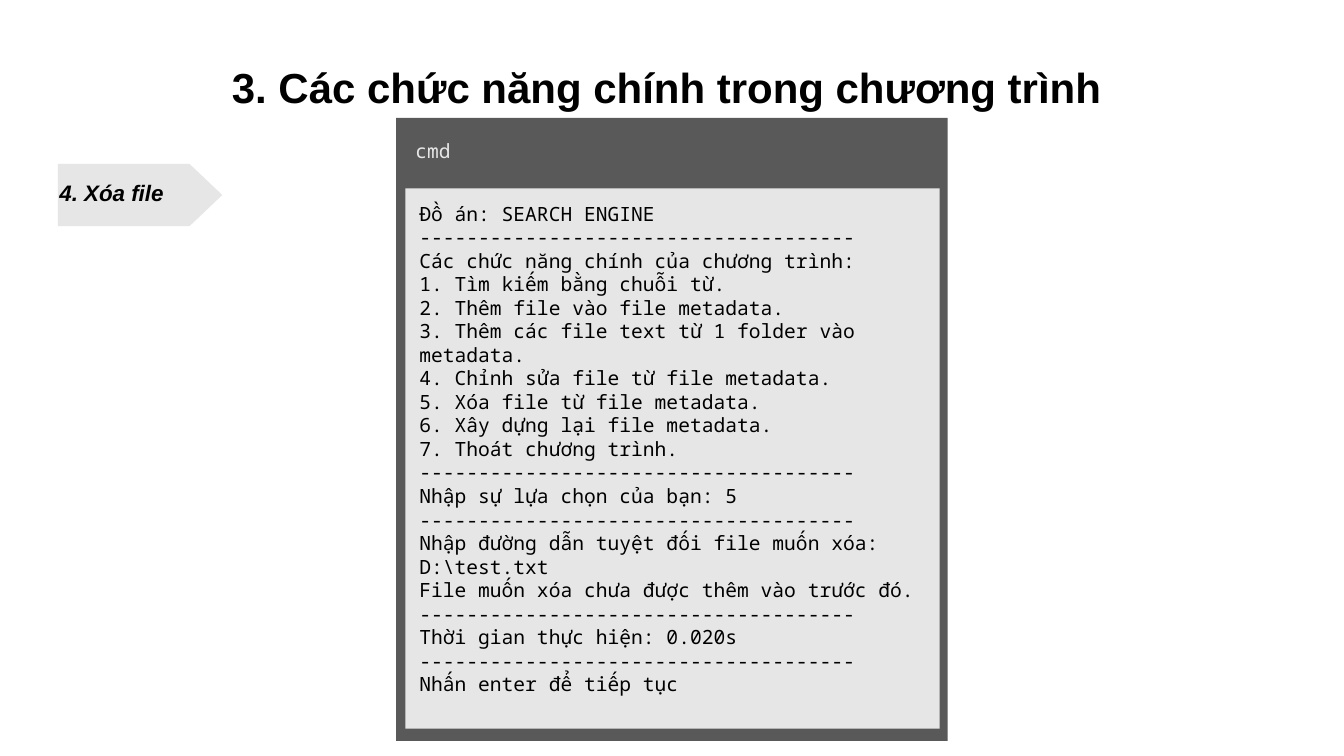
from dataclasses import dataclass

from pptx import Presentation
from pptx.dml.color import RGBColor
from pptx.enum.shapes import MSO_SHAPE as Shape
from pptx.enum.text import MSO_ANCHOR as Anchor, MSO_AUTO_SIZE as AutoSize, PP_ALIGN as Align
from pptx.util import Inches, Pt


@dataclass(frozen=True)
class Theme:
    ink: str = "000000"
    light: str = "E7E6E6"
    dark: str = "595959"
    sans: str = "Arial"
    mono: str = "Noto Sans Mono"
    title_pt: int = 30
    label_pt: int = 16
    code_pt: int = 14


@dataclass(frozen=True)
class Area:
    """Left, top, width and height in percent of the slide."""
    x: float
    y: float
    w: float
    h: float


@dataclass(frozen=True)
class Panel:
    kind: Shape
    area: Area
    color: str
    rotation: int = 0


@dataclass(frozen=True)
class Style:
    size: int
    font: str
    color: str
    bold: bool = False
    italic: bool = False
    wrap: bool = True


theme = Theme()
prs = Presentation()
prs.slide_width, prs.slide_height = Inches(13.33), Inches(7.5)
s = prs.slides.add_slide(prs.slide_layouts[5])


def place(sp, area: Area) -> None:
    sp.left, sp.width = (int(prs.slide_width * v / 100) for v in (area.x, area.w))
    sp.top, sp.height = (int(prs.slide_height * v / 100) for v in (area.y, area.h))


def write(sp, text: str, style: Style) -> None:
    tf = sp.text_frame
    tf.text = text
    tf.word_wrap = style.wrap
    tf.auto_size = AutoSize.NONE
    tf.vertical_anchor = Anchor.TOP
    for p in tf.paragraphs:
        p.alignment = Align.LEFT
        for r in p.runs:
            r.font.size, r.font.name = Pt(style.size), style.font
            r.font.bold, r.font.italic = style.bold, style.italic
            r.font.color.rgb = RGBColor.from_string(style.color)


def draw_panel(panel: Panel) -> None:
    sp = s.shapes.add_shape(panel.kind, 0, 0, 0, 0)
    place(sp, panel.area)
    sp.rotation = panel.rotation
    sp.shadow.inherit = False
    sp.fill.solid()
    sp.fill.fore_color.rgb = RGBColor.from_string(panel.color)
    sp.line.fill.background()


def draw_text(area: Area, text: str, style: Style) -> None:
    sp = s.shapes.add_textbox(0, 0, 0, 0)
    place(sp, area)
    write(sp, text, style)


# Title
title = s.shapes.title
place(title, Area(16.5, 7.47, 68.7, 8.13))
write(title, "3. Các chức năng chính trong chương trình",
      Style(theme.title_pt, theme.sans, theme.ink, bold=True))

# Section arrow and console window
for panel in (
    Panel(Shape.FLOWCHART_OFFPAGE_CONNECTOR, Area(8.1, 14.93, 4.65, 21.73), theme.light, 270),
    Panel(Shape.RECTANGLE, Area(29.48, 15.6, 41.03, 82.4), theme.dark),
    Panel(Shape.RECTANGLE, Area(30.16, 24.93, 39.76, 71.47), theme.light),
):
    draw_panel(panel)

# Section label and window caption
draw_text(Area(3.68, 23.07, 9.38, 4.93), "4. Xóa file",
          Style(theme.label_pt, theme.sans, theme.ink, bold=True, italic=True, wrap=False))
draw_text(Area(30.16, 17.73, 12.15, 6.27), "cmd",
          Style(theme.code_pt, theme.mono, theme.light))

# Console output: blocks separated by dashed rules
RULE = "\n" + "-" * 37 + "\n"
MENU = (
    "Tìm kiếm bằng chuỗi từ.",
    "Thêm file vào file metadata.",
    "Thêm các file text từ 1 folder vào metadata.",
    "Chỉnh sửa file từ file metadata.",
    "Xóa file từ file metadata.",
    "Xây dựng lại file metadata.",
    "Thoát chương trình.",
)
BLOCKS = (
    "Đồ án: SEARCH ENGINE",
    "\n".join(["Các chức năng chính của chương trình:",
               *(f"{n}. {item}" for n, item in enumerate(MENU, 1))]),
    "Nhập sự lựa chọn của bạn: 5",
    "Nhập đường dẫn tuyệt đối file muốn xóa:\n"
    "D:\\test.txt\n"
    "File muốn xóa chưa được thêm vào trước đó.",
    "Thời gian thực hiện: 0.020s",
    "Nhấn enter để tiếp tục",
)
draw_text(Area(30.46, 26, 40.13, 64.13), RULE.join(BLOCKS),
          Style(theme.code_pt, theme.mono, theme.ink))

prs.save("out.pptx")
